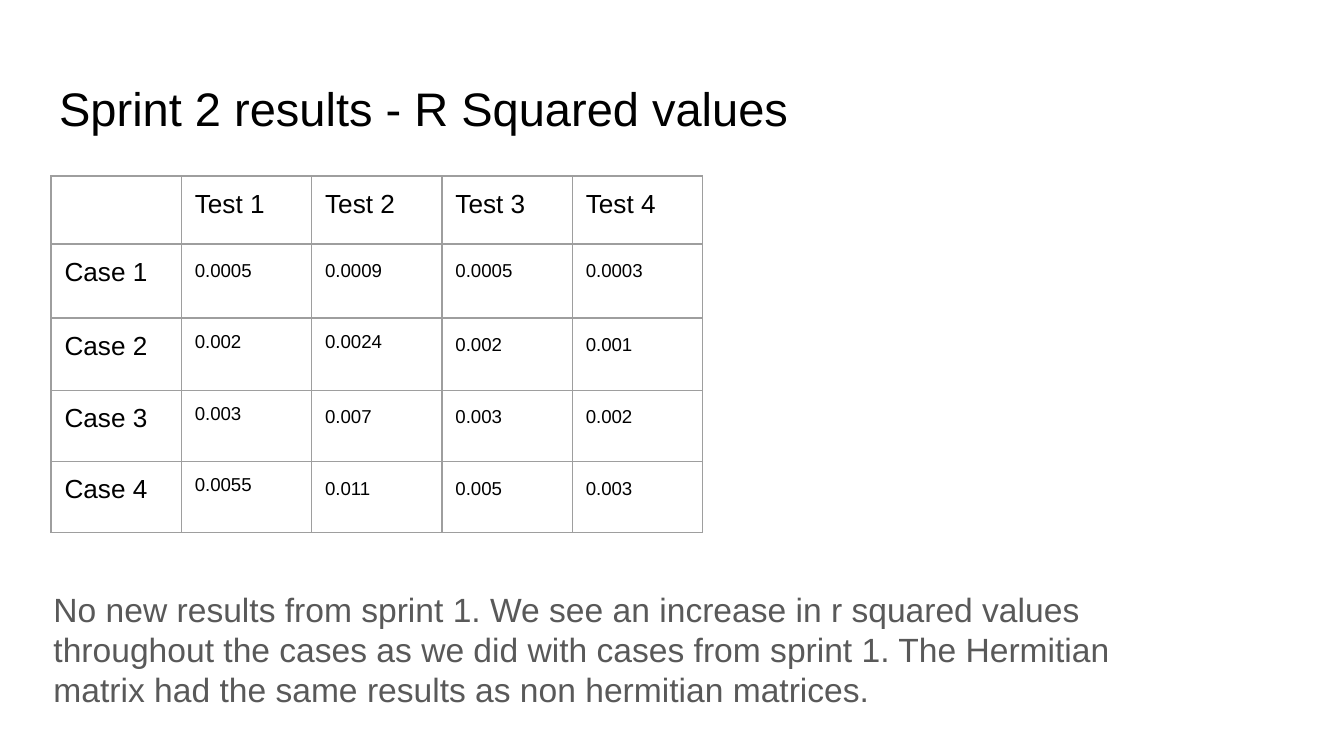
from lxml.etree import SubElement
from pptx import Presentation
from pptx.dml.color import RGBColor
from pptx.enum.text import MSO_ANCHOR as Anchor, PP_ALIGN as Align
from pptx.oxml.ns import qn
from pptx.util import Inches, Pt

# Content
TITLE = "Sprint 2 results - R Squared values"
ROWS = [
    ["", "Test 1", "Test 2", "Test 3", "Test 4"],
    ["Case 1", "0.0005", "0.0009", "0.0005", "0.0003"],
    ["Case 2", "0.002", "0.0024", "0.002", "0.001"],
    ["Case 3", "0.003", "0.007", "0.003", "0.002"],
    ["Case 4", "0.0055", "0.011", "0.005", "0.003"],
]
SINGLE_SPACED = {(2, 1), (2, 2), (3, 1), (4, 1)}
SUMMARY = (
    "No new results from sprint 1. We see an increase in r squared values "
    "throughout the cases as we did with cases from sprint 1. The Hermitian "
    "matrix had the same results as non hermitian matrices."
)

# Layout and colours
COLUMN_WIDTH = 0.97
ROW_HEIGHTS = [0.48, 0.55, 0.54, 0.53, 0.53]
BLACK, GREY, BORDER = "000000", "595959", "9E9E9E"


def color(value):
    return RGBColor.from_string(value)


def write(frame, text, size=14, fill=BLACK, spacing=1.0):
    paragraph = frame.paragraphs[0]
    paragraph.alignment = Align.LEFT
    paragraph.line_spacing = spacing
    paragraph.space_before = Pt(0)
    if text:
        run = paragraph.add_run()
        run.text = text
        run.font.name = "Arial"
        run.font.size = Pt(size)
        run.font.color.rgb = color(fill)


def set_margins(target):
    for side in ("left", "right", "top", "bottom"):
        setattr(target, f"margin_{side}", Inches(0.1))


def add_borders(cell):
    properties = cell._tc.get_or_add_tcPr()
    for index, side in enumerate(("lnL", "lnR", "lnT", "lnB")):
        line = properties.makeelement(qn(f"a:{side}"), {"w": str(Pt(0.75))})
        fill = SubElement(line, qn("a:solidFill"))
        SubElement(fill, qn("a:srgbClr"), val=BORDER)
        properties.insert(index, line)


# Widescreen slide, 16 to 9
presentation = Presentation()
presentation.slide_width = Inches(10)
presentation.slide_height = presentation.slide_width * 9 // 16
slide = presentation.slides.add_slide(presentation.slide_layouts[5])

# Title
title = slide.shapes.title
title.left, title.top = Inches(0.34), Inches(0.49)
title.width, title.height = Inches(9.32), Inches(0.63)
set_margins(title.text_frame)
title.text_frame.vertical_anchor = Anchor.TOP
write(title.text_frame, TITLE, size=25.2)

# Table of results
table = slide.shapes.add_table(
    len(ROWS), len(ROWS[0]), Inches(0.38), Inches(1.31),
    Inches(COLUMN_WIDTH * len(ROWS[0])), Inches(sum(ROW_HEIGHTS)),
).table
table.first_row = table.horz_banding = False
for column in table.columns:
    column.width = Inches(COLUMN_WIDTH)
for r, values in enumerate(ROWS):
    table.rows[r].height = Inches(ROW_HEIGHTS[r])
    for c, value in enumerate(values):
        cell = table.cell(r, c)
        set_margins(cell)
        cell.fill.background()
        add_borders(cell)
        is_value = r > 0 and c > 0
        spacing = 1.15 if is_value and (r, c) not in SINGLE_SPACED else 1.0
        write(cell.text_frame, value, size=10 if is_value else 14, spacing=spacing)

# Summary
summary = slide.shapes.add_textbox(Inches(0.3), Inches(4.28), Inches(8.76), Inches(1.09))
summary.text_frame.word_wrap = True
set_margins(summary.text_frame)
write(summary.text_frame, SUMMARY, size=18, fill=GREY)

presentation.save("out.pptx")
